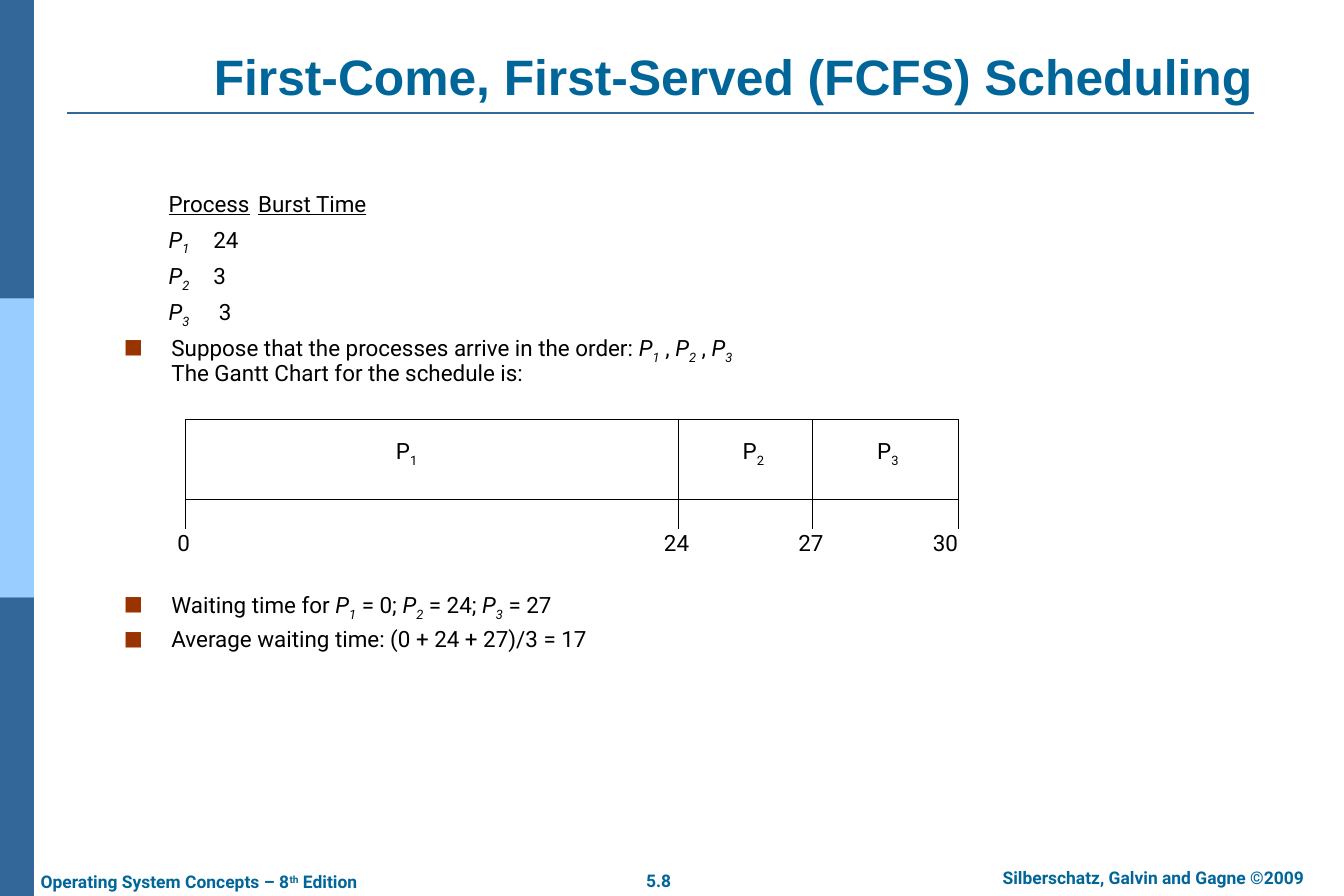
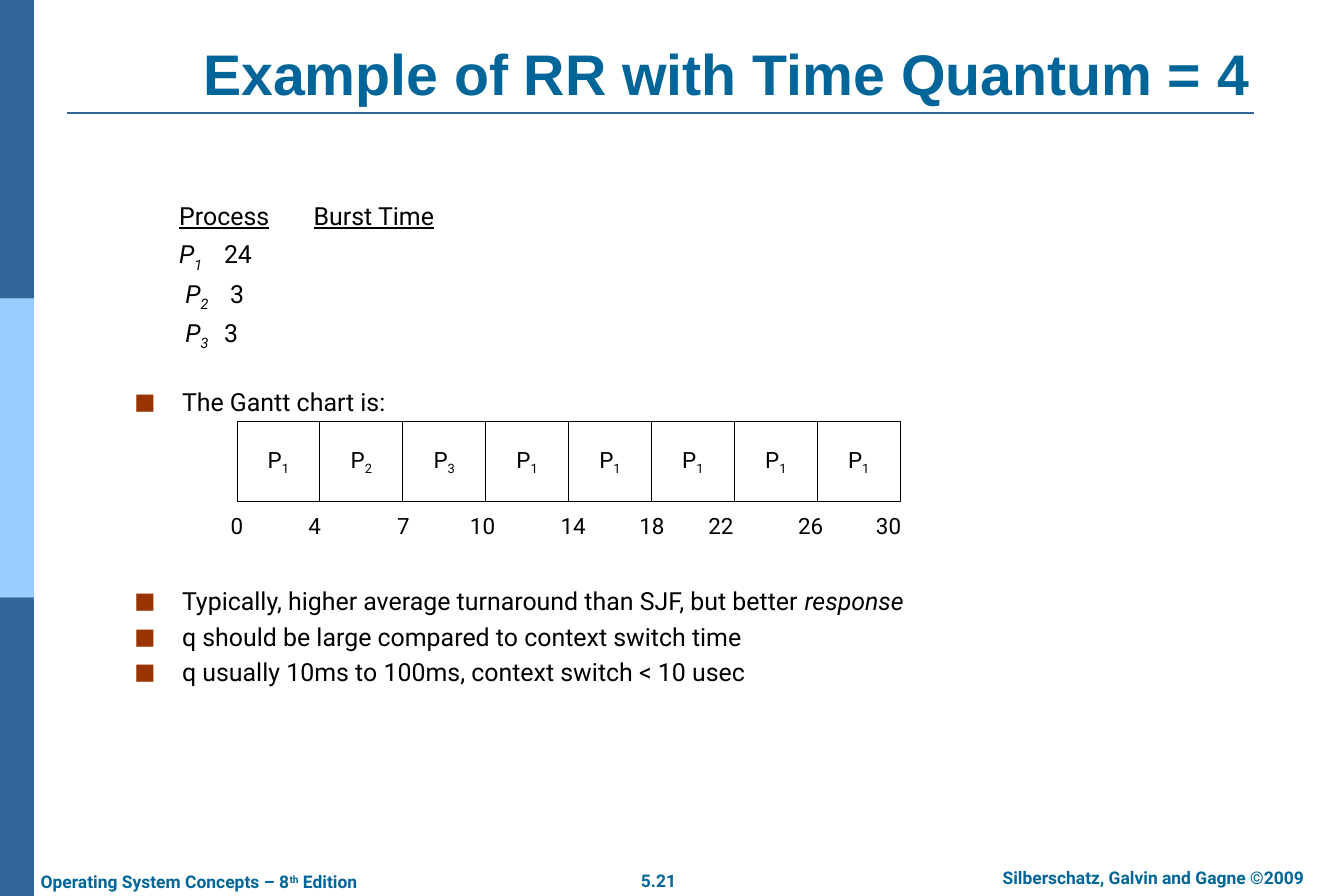
import lxml.etree
import pptx
import pptx.dml.color
import pptx.enum.shapes
import pptx.enum.text
import pptx.oxml.ns
import pptx.util
from pptx.util import Cm, Pt

RGBColor = pptx.dml.color.RGBColor
PP_ALIGN = pptx.enum.text.PP_ALIGN
MSO_ANCHOR = pptx.enum.text.MSO_ANCHOR
RECTANGLE = pptx.enum.shapes.MSO_SHAPE.RECTANGLE
qn = pptx.oxml.ns.qn

STEEL = RGBColor(0x33, 0x66, 0x99)
SKY = RGBColor(0x99, 0xCC, 0xFF)
TEAL = RGBColor(0x00, 0x66, 0x99)
RUST = RGBColor(0x99, 0x33, 0x00)
BLACK = RGBColor(0, 0, 0)
WHITE = RGBColor(0xFF, 0xFF, 0xFF)
HEAD_FONT = "Arial"
TEXT_FONT = "Roboto"
PAGE_WIDTH, PAGE_HEIGHT = 38.1, 25.4
BAND_WIDTH = 0.96
LABEL_SIZE = 18
LIST_INDENT = 1.35
GANTT_HEIGHT = 2.27
BASELINES = {"-": "-25000", "+": "30000"}


def place(shape, left, top, width, height):
    shape.left, shape.top = Cm(left), Cm(top)
    shape.width, shape.height = Cm(width), Cm(height)


def set_frame(frame, side=0.36, edge=0.18, anchor=MSO_ANCHOR.TOP):
    frame.word_wrap = True
    frame.auto_size = pptx.enum.text.MSO_AUTO_SIZE.NONE
    frame.margin_left = frame.margin_right = Cm(side)
    frame.margin_top = frame.margin_bottom = Cm(edge)
    frame.vertical_anchor = anchor


def set_font(para, size, color=BLACK, name=TEXT_FONT, bold=False):
    para.font.name = name
    para.font.size = Pt(size)
    para.font.bold = bold
    para.font.color.rgb = color


def write_spans(para, spans):
    for text, style in spans:
        if text == "\n":
            para.add_line_break()
            continue
        span = para.add_run()
        span.text = text
        if "i" in style:
            span.font.italic = True
        if "u" in style:
            span.font.underline = True
        for mark, offset in BASELINES.items():
            if mark in style:
                span._r.get_or_add_rPr().set("baseline", offset)


def process(number, style="i"):
    return [("P", style), (str(number), style + "-")]


def add_property(para, tag, **values):
    element = lxml.etree.SubElement(para._p.get_or_add_pPr(), qn(tag))
    for key, value in values.items():
        element.set(key, str(value))
    return element


def set_bullet(para):
    properties = para._p.get_or_add_pPr()
    properties.set("marL", str(Cm(LIST_INDENT)))
    properties.set("indent", str(-Cm(LIST_INDENT)))
    color = add_property(para, "a:buClr")
    lxml.etree.SubElement(color, qn("a:srgbClr")).set("val", str(RUST))
    add_property(para, "a:buSzPct", val=90000)
    add_property(para, "a:buFont", typeface=TEXT_FONT)
    add_property(para, "a:buChar", char="■")


def set_columns(para, stops):
    properties = para._p.get_or_add_pPr()
    properties.set("marL", "0")
    properties.set("indent", "0")
    add_property(para, "a:buNone")
    tabs = add_property(para, "a:tabLst")
    for stop in stops:
        tab = lxml.etree.SubElement(tabs, qn("a:tab"))
        tab.set("pos", str(Cm(stop)))
        tab.set("algn", "l")


def add_rectangle(page, left, top, width, height, fill, line=None):
    shape = page.shapes.add_shape(RECTANGLE, Cm(left), Cm(top), Cm(width), Cm(height))
    shape.shadow.inherit = False
    shape.fill.solid()
    shape.fill.fore_color.rgb = fill
    if line is None:
        shape.line.fill.background()
    else:
        shape.line.color.rgb = line
        shape.line.width = Pt(0.75)
    return shape


def add_line(page, x1, y1, x2, y2, color, width):
    line = page.shapes.add_connector(
        pptx.enum.shapes.MSO_CONNECTOR.STRAIGHT, Cm(x1), Cm(y1), Cm(x2), Cm(y2))
    line.line.color.rgb = color
    line.line.width = Pt(width)
    lxml.etree.SubElement(line._element.spPr, qn("a:effectLst"))


def add_footer(page, left, top, width, spans, align):
    box = page.shapes.add_textbox(Cm(left), Cm(top), Cm(width), Cm(0.9))
    set_frame(box.text_frame)
    para = box.text_frame.paragraphs[0]
    para.alignment = align
    set_font(para, 14, TEAL, bold=True)
    write_spans(para, spans)


def add_page(deck, title, title_size, title_box, number):
    page = deck.slides.add_slide(deck.slide_layouts[1])
    band_height = PAGE_HEIGHT / 3
    for row, color in enumerate((STEEL, SKY, STEEL)):
        add_rectangle(page, 0, row * band_height, BAND_WIDTH, band_height, color)
    add_line(page, 1.9, 3.2, 35.56, 3.2, STEEL, 1.5)
    add_footer(page, 0.79, 24.51, 10.2,
               [("Operating System Concepts – 8", ""), ("th", "+"), (" Edition", "")],
               PP_ALIGN.LEFT)
    add_footer(page, 17.4, 24.49, 2.54, [(number, "")], PP_ALIGN.CENTER)
    add_footer(page, 27.05, 24.41, 11.3,
               [("Silberschatz, Galvin and Gagne ©2009", "")], PP_ALIGN.CENTER)
    place(page.shapes.title, *title_box)
    frame = page.shapes.title.text_frame
    set_frame(frame, anchor=MSO_ANCHOR.BOTTOM)
    para = frame.paragraphs[0]
    para.alignment = PP_ALIGN.CENTER
    set_font(para, title_size, TEAL, HEAD_FONT, True)
    write_spans(para, [(title, "")])
    return page


def fill_body(page, box, size, items):
    body = page.placeholders[1]
    place(body, *box)
    frame = body.text_frame
    set_frame(frame)
    for index, (stops, gap, spans) in enumerate(items):
        para = frame.add_paragraph() if index else frame.paragraphs[0]
        para.line_spacing = 0.9
        para.space_before = Pt(gap if index else 0)
        if stops:
            set_columns(para, stops)
        else:
            set_bullet(para)
        set_font(para, size)
        write_spans(para, spans)


def write_label(frame, spans):
    set_frame(frame, 0, 0, MSO_ANCHOR.MIDDLE)
    para = frame.paragraphs[0]
    para.alignment = PP_ALIGN.CENTER
    set_font(para, LABEL_SIZE)
    write_spans(para, spans)


def add_label(page, center_x, center_y, spans):
    width, height = 1.4, 1
    box = page.shapes.add_textbox(Cm(center_x - width / 2), Cm(center_y - height / 2),
                                  Cm(width), Cm(height))
    write_label(box.text_frame, spans)


def add_times(page, left, center_y, times):
    for time, offset in times:
        add_label(page, left + offset, center_y, [(str(time), "")])


def add_ticked_gantt(page, left, top, bounds, processes, times):
    add_rectangle(page, left, top, bounds[-1], GANTT_HEIGHT, WHITE, BLACK)
    for bound in bounds:
        add_line(page, left + bound, top, left + bound, top + 3.1, BLACK, 0.75)
    for number, offset in processes:
        add_label(page, left + offset, top + 0.94, process(number, ""))
    add_times(page, left, top + 3.48, times)


def add_cell_gantt(page, left, top, cell_width, processes, times):
    for column, number in enumerate(processes):
        cell = add_rectangle(page, left + column * cell_width, top,
                             cell_width, GANTT_HEIGHT, WHITE, BLACK)
        write_label(cell.text_frame, process(number, ""))
    add_times(page, left, top + 2.95, times)


def build_fcfs(deck):
    page = add_page(deck, "First-Come, First-Served (FCFS) Scheduling", 40,
                    (4.11, 1.47, 33.35, 1.7), "5.8")
    head, row = (3.91, 6.45), (4.05, 6.45)
    gap = 7
    fill_body(page, (3.15, 5.3, 31.52, 15.1), 18, [
        (head, gap, [("\t", ""), ("Process", "u"), ("\t", ""), ("Burst Time", "u")]),
        (row, gap, [("\t", ""), *process(1), ("\t24", "")]),
        (row, gap, [("\t", ""), *process(2), ("\t3", "")]),
        (row, gap, [("\t", ""), *process(3), ("\t 3", "")]),
        (None, gap, [("Suppose that the processes arrive in the order: ", ""),
                     *process(1), (" , ", ""), *process(2), (" , ", ""), *process(3),
                     ("\n", ""), ("The Gantt Chart for the schedule is:", "")]),
        (None, 165, [("Waiting time for ", ""), *process(1), (" = 0; ", ""),
                     *process(2), (" = 24; ", ""), *process(3), (" = 27", "")]),
        (None, gap, [("Average waiting time: (0 + 24 + 27)/3 = 17", "")]),
    ])
    add_ticked_gantt(page, 5.26, 11.89, (0, 13.97, 17.78, 21.91),
                     ((1, 6.27), (2, 16.1), (3, 19.91)),
                     ((0, -0.05), (24, 13.92), (27, 17.73), (30, 21.54)))


def build_round_robin(deck):
    page = add_page(deck, "Example of RR with Time Quantum = 4", 46,
                    (3.81, 0.08, 33.55, 3.12), "5.21")
    head, row = (3.91, 8.97), (3.91, 6.45)
    gap = 7
    fill_body(page, (3.45, 5.6, 30.63, 16.6), 20, [
        (head, gap, [("\t", ""), ("Process", "u"), ("\t", ""), ("Burst Time", "u")]),
        (row, gap, [("\t", ""), *process(1), ("\t24", "")]),
        (row, gap, [("\t ", ""), *process(2), ("\t 3", "")]),
        (row, gap, [("\t ", ""), *process(3), ("\t3", "")]),
        (None, 33.5, [("The Gantt chart is:", "")]),
        (None, 138, [("Typically, higher average turnaround than SJF, but better ", ""),
                     ("response", "i")]),
        (None, gap, [("q should be large compared to context switch time", "")]),
        (None, gap, [("q usually 10ms to 100ms, context switch < 10 usec", "")]),
    ])
    add_cell_gantt(page, 6.72, 11.94, 2.35, (1, 2, 3, 1, 1, 1, 1, 1),
                   ((0, 0), (4, 2.2), (7, 4.72), (10, 6.96), (14, 9.53),
                    (18, 11.76), (22, 13.72), (26, 16.26), (30, 18.47)))


def main():
    deck = pptx.Presentation()
    deck.slide_width, deck.slide_height = Cm(PAGE_WIDTH), Cm(PAGE_HEIGHT)
    build_fcfs(deck)
    build_round_robin(deck)
    deck.save("out.pptx")


if __name__ == "__main__":
    main()
